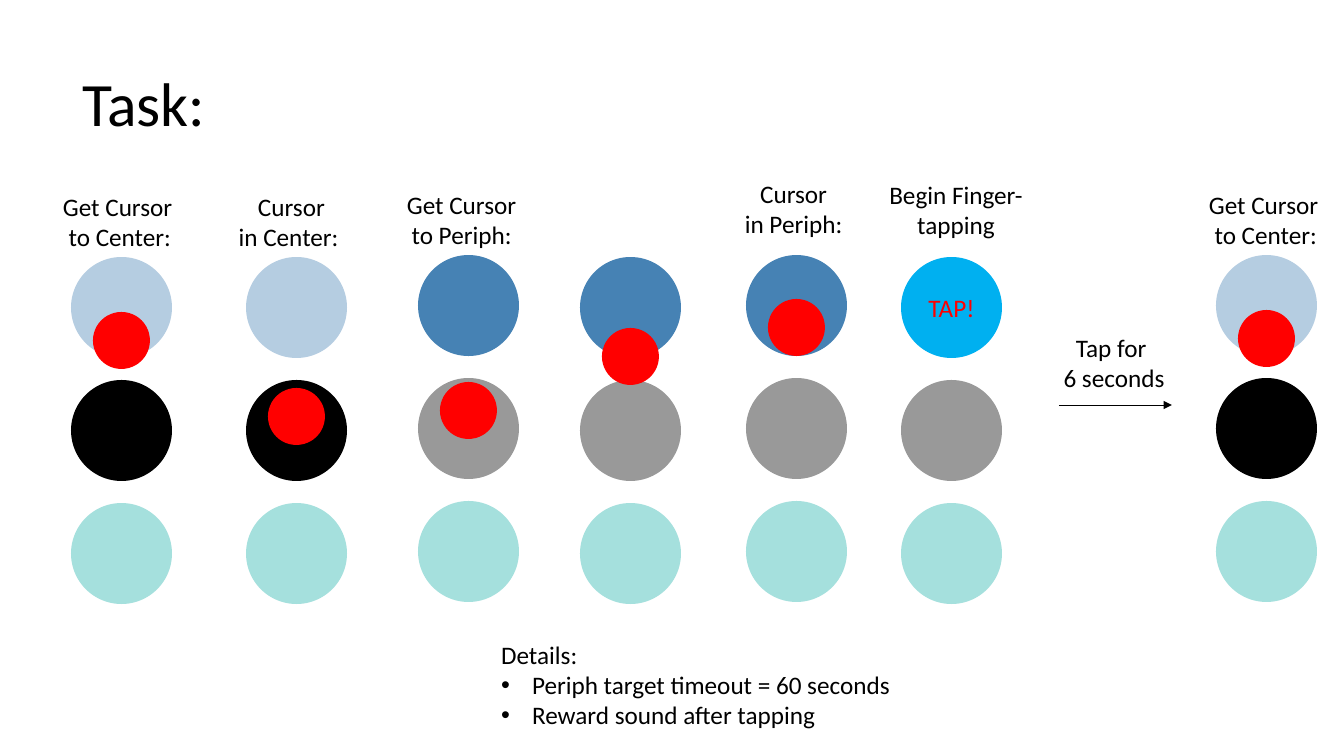
import dataclasses

import lxml.etree
import pptx
import pptx.dml.color
import pptx.enum.shapes
import pptx.enum.text
import pptx.oxml.ns
import pptx.util

EMU_PER_PIXEL = 914400 / 100.8
LEFT = pptx.enum.text.PP_ALIGN.LEFT
CENTER = pptx.enum.text.PP_ALIGN.CENTER
TOP = pptx.enum.text.MSO_ANCHOR.TOP
MIDDLE = pptx.enum.text.MSO_ANCHOR.MIDDLE


@dataclasses.dataclass(frozen=True)
class Theme:
    font: str = "Calibri"
    title_size: int = 44
    text_size: int = 18
    black: str = "000000"
    cursor: str = "FF0000"
    periphery: str = "4682B4"
    tap: str = "00B0F0"
    lower: str = "20B2AA"
    faded: int = 40


THEME = Theme()


def emu(pixels):
    return pptx.util.Emu(round(pixels * EMU_PER_PIXEL))


def rgb(color):
    return pptx.dml.color.RGBColor.from_string(color)


def add_xml(parent, tag, **attributes):
    return lxml.etree.SubElement(parent, pptx.oxml.ns.qn(tag), attributes)


def write(frame, text, size=THEME.text_size, color=THEME.black, align=LEFT,
          anchor=TOP, wrap=True, spacing=1.0):
    frame.auto_size = pptx.enum.text.MSO_AUTO_SIZE.NONE
    frame.word_wrap = wrap
    frame.vertical_anchor = anchor
    frame.text = text
    for para in frame.paragraphs:
        para.alignment = align
        para.line_spacing = spacing
        para.space_before = pptx.util.Pt(0)
        for span in para.runs:
            span.font.name = THEME.font
            span.font.size = pptx.util.Pt(size)
            span.font.color.rgb = rgb(color)


class SlideBuilder:
    def __init__(self, deck, theme):
        self.theme = theme
        self.page = deck.slides.add_slide(deck.slide_layouts[1])

    def place(self, shape, box):
        shape.left, shape.top, shape.width, shape.height = map(emu, box)

    def title(self, text, box):
        heading = self.page.shapes.title
        self.place(heading, box)
        write(heading.text_frame, text, size=self.theme.title_size,
              anchor=MIDDLE, spacing=0.9)

    def details(self, heading, items, box, indent):
        body = self.page.placeholders[1]
        self.place(body, box)
        write(body.text_frame, "\n".join([heading, *items]))
        for index, para in enumerate(body.text_frame.paragraphs):
            properties = para._p.get_or_add_pPr()
            hang = int(emu(indent)) if index else 0
            properties.set("marL", str(hang))
            properties.set("indent", str(-hang))
            if index:
                add_xml(properties, "a:buFont", typeface="Arial")
                add_xml(properties, "a:buChar", char="•")
            else:
                add_xml(properties, "a:buNone")

    def label(self, text, box, align=CENTER):
        caption = self.page.shapes.add_textbox(*map(emu, box))
        write(caption.text_frame, text, align=align, wrap=False)

    def circle(self, left, top, size, color, opacity=100, text=""):
        disc = self.page.shapes.add_shape(
            pptx.enum.shapes.MSO_SHAPE.OVAL, *map(emu, (left, top, size, size)))
        disc.shadow.inherit = False
        disc.line.fill.background()
        disc.fill.solid()
        disc.fill.fore_color.rgb = rgb(color)
        if opacity < 100:
            paint = disc._element.spPr.find(".//" + pptx.oxml.ns.qn("a:srgbClr"))
            add_xml(paint, "a:alpha", val=str(opacity * 1000))
        if text:
            write(disc.text_frame, text, color=self.theme.cursor,
                  align=CENTER, anchor=MIDDLE)

    def arrow(self, start, end):
        link = self.page.shapes.add_connector(
            pptx.enum.shapes.MSO_CONNECTOR.STRAIGHT, *map(emu, (*start, *end)))
        link.line.color.rgb = rgb(self.theme.black)
        link.line.width = pptx.util.Pt(0.5)
        add_xml(link.line._get_or_add_ln(), "a:tailEnd", type="triangle")
        add_xml(link._element.spPr, "a:effectLst")


@dataclasses.dataclass
class Step:
    left: int
    top: int
    upper: tuple
    center_opacity: int
    cursor_top: int = 0
    label: str = ""
    label_box: tuple = ()
    align: int = CENTER
    prompt: str = ""


TARGET = 101
CURSOR = 57
ROW_PITCH = 123
LABEL_HEIGHT = 71
DIM = (THEME.periphery, THEME.faded)
LIT = (THEME.periphery, 100)
TAP = (THEME.tap, 100)
TO_CENTER = "Get Cursor\n to Center: "

STEPS = [
    Step(71, 257, DIM, 100, 312, TO_CENTER, (53, 186, 136), LEFT),
    Step(246, 257, DIM, 100, 388, "Cursor\nin Center: ", (228, 186, 127)),
    Step(418, 255, LIT, THEME.faded, 382, "Get Cursor \nto Periph: ", (396, 184, 137)),
    Step(580, 257, LIT, THEME.faded, 328),
    Step(746, 255, LIT, THEME.faded, 299, "Cursor \nin Periph: ", (734, 173, 125)),
    Step(901, 257, TAP, THEME.faded, 0, "Begin Finger-\ntapping", (878, 174, 156),
         prompt="TAP!"),
    Step(1216, 255, DIM, 100, 310, TO_CENTER, (1199, 184, 136), LEFT),
]


def draw_step(slide, step):
    targets = [step.upper, (THEME.black, step.center_opacity),
               (THEME.lower, THEME.faded)]
    for row, (color, opacity) in enumerate(targets):
        slide.circle(step.left, step.top + row * ROW_PITCH, TARGET, color,
                     opacity, step.prompt if row == 0 else "")
    if step.label:
        slide.label(step.label, (*step.label_box, LABEL_HEIGHT), step.align)
    if step.cursor_top:
        slide.circle(step.left + (TARGET - CURSOR) // 2, step.cursor_top,
                     CURSOR, THEME.cursor)


deck = pptx.Presentation()
deck.slide_width, deck.slide_height = emu(1344), emu(756)
slide = SlideBuilder(deck, THEME)
slide.title("Task: ", (72, 34, 1159, 146))
for step in STEPS:
    draw_step(slide, step)
slide.arrow((1059, 405), (1172, 405))
slide.label("Tap for \n6 seconds", (1053, 327, 122, LABEL_HEIGHT))
slide.details("Details: ",
              ["Periph target timeout = 60 seconds", "Reward sound after tapping"],
              (491, 634, 582, 102), 31)
deck.save("out.pptx")
